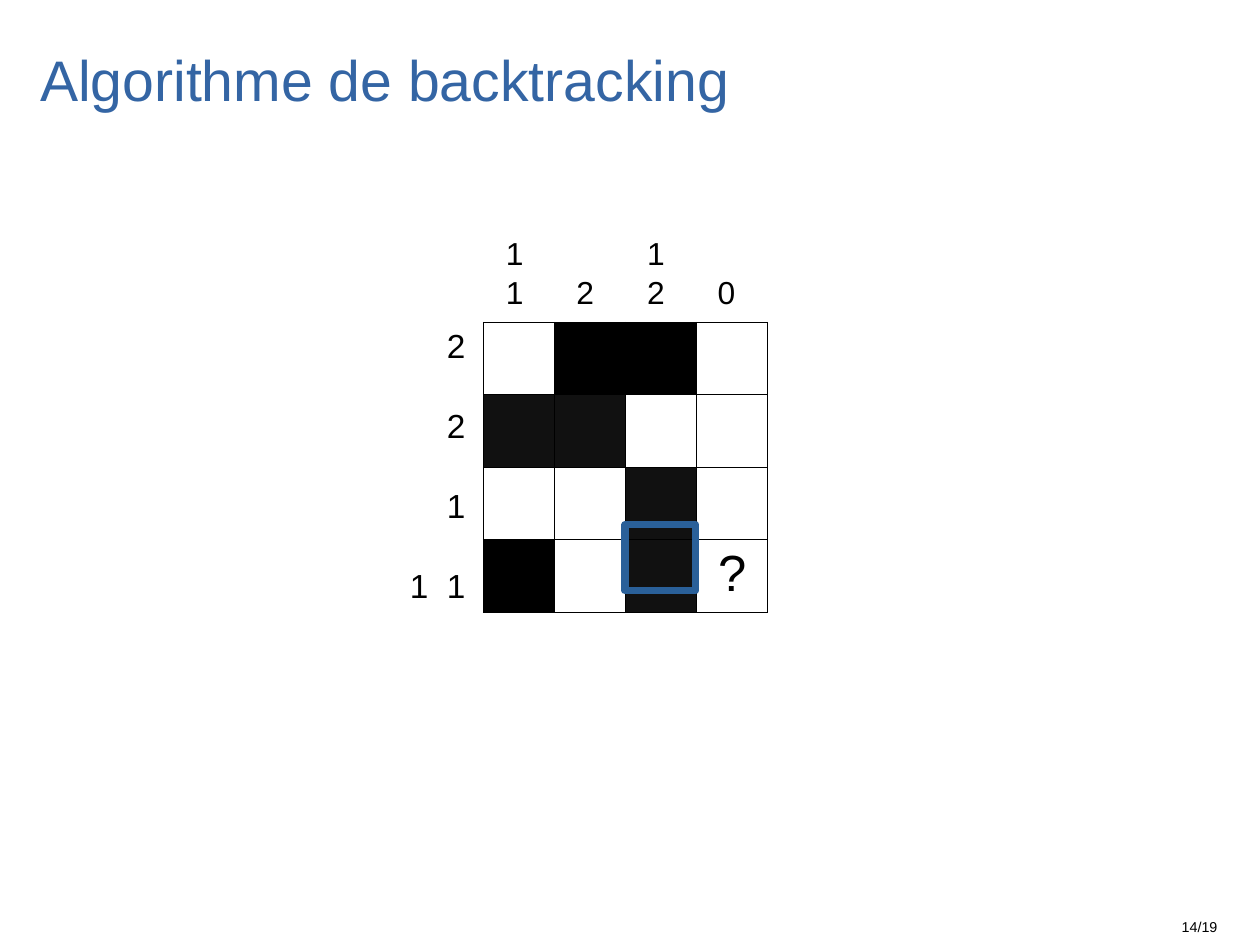
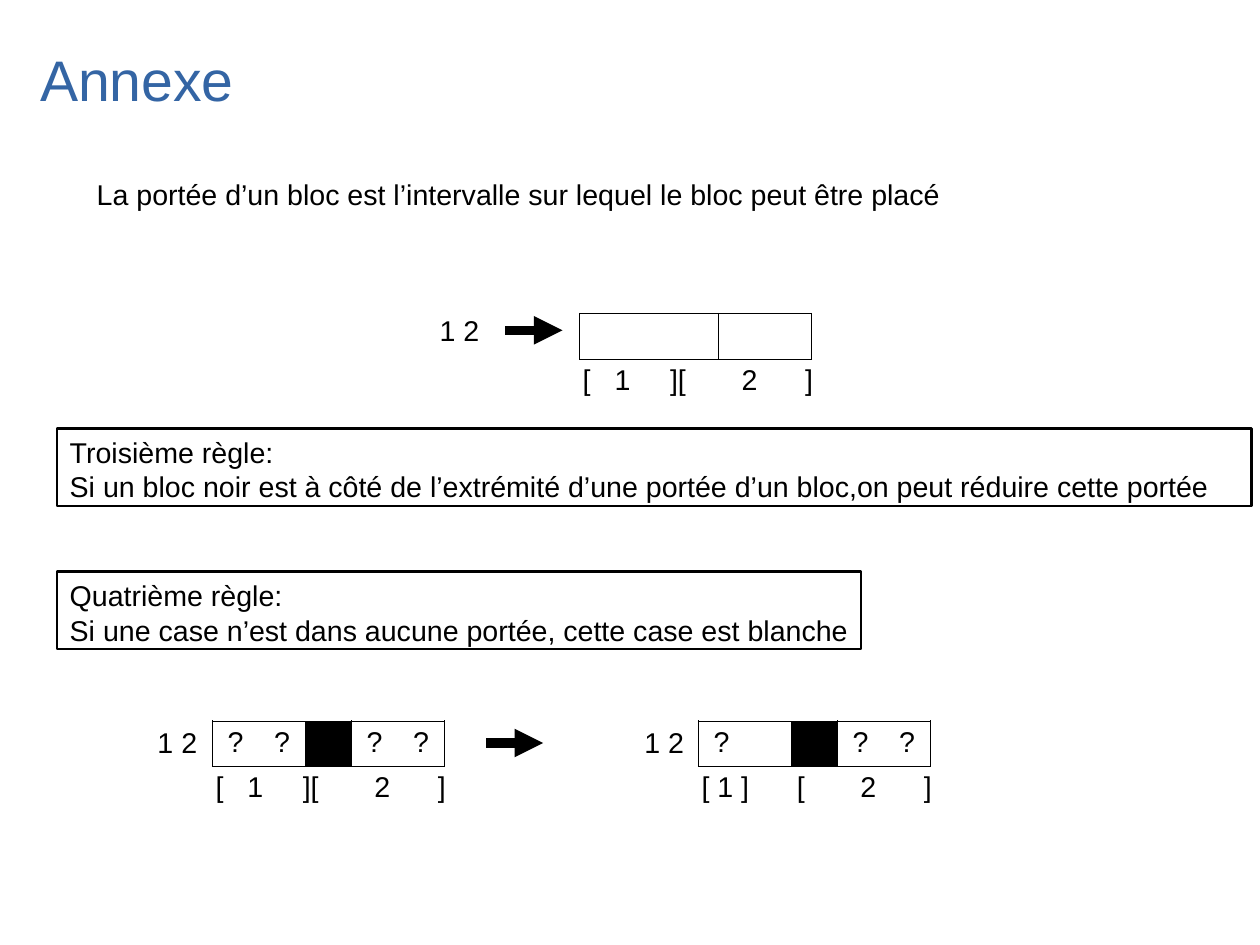
from lxml.etree import SubElement
from pptx import Presentation
from pptx.dml.color import RGBColor
from pptx.enum.shapes import MSO_CONNECTOR, MSO_SHAPE
from pptx.enum.text import MSO_ANCHOR, PP_ALIGN
from pptx.oxml.ns import qn
from pptx.util import Cm, Pt

FONT = "Arial"
BLACK = RGBColor(0x00, 0x00, 0x00)
DARK = RGBColor(0x11, 0x11, 0x11)
TITLE_BLUE = RGBColor(0x34, 0x65, 0xA4)
CURSOR_BLUE = RGBColor(0x2A, 0x60, 0x99)

# Cell marks: "#" guessed black, "+" deduced black, "." blank, "?" unknown
CELL_FILLS = {"#": BLACK, "+": DARK}
STRIP_CELL = 1.03
CLUE_PITCH = 1.57


def write(frame, lines, size, colour=BLACK, tabs=(), gap=0, align=PP_ALIGN.LEFT):
    """Fill a text frame; tabs are stops in cm, gap is points after each line."""
    frame.text = "\n".join(lines)
    for para in frame.paragraphs:
        para.alignment = align
        para.space_after = Pt(gap)
        if tabs:
            stops = SubElement(para._p.get_or_add_pPr(), qn("a:tabLst"))
            for stop in tabs:
                SubElement(stops, qn("a:tab"), pos=str(Cm(stop)), algn="l")
        for span in para.runs:
            span.font.name = FONT
            span.font.size = Pt(size)
            span.font.color.rgb = colour


def add_text(page, left, top, width, height, lines, size, **style):
    box = page.shapes.add_textbox(Cm(left), Cm(top), Cm(width), Cm(height))
    box.text_frame.word_wrap = True
    box.text_frame.margin_right = 0
    write(box.text_frame, lines, size, **style)


def add_frame(page, left, top, width, height, colour, weight):
    """Outlined rectangle with rounded line joins."""
    box = page.shapes.add_shape(
        MSO_SHAPE.RECTANGLE, Cm(left), Cm(top), Cm(width), Cm(height))
    box.shadow.inherit = False
    box.fill.background()
    box.line.color.rgb = colour
    box.line.width = Pt(weight)
    SubElement(box.line._get_or_add_ln(), qn("a:round"))
    return box


def add_rule(page, top, width, lines):
    box = add_frame(page, 1.27, top, width, 1.73, BLACK, 1.5)
    frame = box.text_frame
    frame.word_wrap = True
    frame.vertical_anchor = MSO_ANCHOR.TOP
    frame.margin_left = Cm(0.28)
    frame.margin_top = Cm(0.15)
    frame.margin_right = frame.margin_bottom = 0
    write(frame, lines, 18)


def add_arrow(page, left, y):
    arrow = page.shapes.add_connector(
        MSO_CONNECTOR.STRAIGHT, Cm(left), Cm(y), Cm(left + 1.27), Cm(y))
    arrow.line.color.rgb = BLACK
    arrow.line.width = Pt(6)
    SubElement(arrow.line._get_or_add_ln(), qn("a:tailEnd"), type="triangle")
    SubElement(arrow._element.spPr, qn("a:effectLst"))


def set_borders(cell, visible):
    """Draw the sides named in visible and clear the others."""
    properties = cell._tc.get_or_add_tcPr()
    for index, side in enumerate("LRTB"):
        line = SubElement(properties, qn(f"a:ln{side}"), w=str(Pt(0.57)))
        if side in visible:
            fill = SubElement(line, qn("a:solidFill"))
            SubElement(fill, qn("a:srgbClr"), val=str(BLACK))
        else:
            SubElement(line, qn("a:noFill"))
        properties.insert(index, line)


def add_cells(page, left, top, width, height, rows, size, edges):
    """Table of puzzle cells; edges lists the vertical lines that are drawn."""
    count = len(rows[0])
    table = page.shapes.add_table(
        len(rows), count, Cm(left), Cm(top),
        Cm(width * count), Cm(height * len(rows))).table
    table.first_row = table.horz_banding = False
    for column in table.columns:
        column.width = Cm(width)
    for row_index, marks in enumerate(rows):
        table.rows[row_index].height = Cm(height)
        for index, mark in enumerate(marks):
            cell = table.cell(row_index, index)
            cell.margin_left = cell.margin_right = Cm(0.1)
            if mark in CELL_FILLS:
                cell.fill.solid()
                cell.fill.fore_color.rgb = CELL_FILLS[mark]
            else:
                cell.fill.background()
            if mark == "?":
                write(cell.text_frame, [mark], size, align=PP_ALIGN.CENTER)
            sides = "TB"
            if index in edges:
                sides += "L"
            if index + 1 in edges:
                sides += "R"
            set_borders(cell, sides)


def add_strip(page, left, top, marks, clue_left, clue_top, ranges, stops):
    """One puzzle line with its clue on the left and block ranges below."""
    add_text(page, clue_left, clue_top, 1.6, 0.97, ["1 2"], 18)
    add_cells(page, left, top, STRIP_CELL, 0.97, [marks], 18, edges=(0, 3, 5))
    add_text(page, left - 0.18, top + 0.95, 5.8, 0.97, [ranges], 18, tabs=stops)


def add_page(deck, title):
    page = deck.slides.add_slide(deck.slide_layouts[6])
    add_text(page, 0.64, 0.86, 18, 1.68, [title], 36, colour=TITLE_BLUE)
    return page


def build_backtracking(deck):
    page = add_page(deck, "Algorithme de backtracking")
    # Grid
    add_cells(page, 10.74, 7.16, 1.58, 1.61,
              [".##.", "++..", "..+.", "#.+?"], 32, edges=range(5))
    # Column and row clues
    add_text(page, 10.99, 5.08, 6, 1.83, ["1\t\t1", "1\t2\t2\t0"], 20,
             tabs=[CLUE_PITCH * step for step in (1, 2, 3)])
    page.shapes[-1].text_frame.paragraphs[0].space_after = Pt(0)
    add_text(page, 8.86, 7.11, 1.85, 6.86, ["\t2", "\t2", "\t1", "1\t1"], 21,
             tabs=[0.82], gap=25.2)
    # Current cell
    add_frame(page, 13.89, 11.66, 1.57, 1.47, CURSOR_BLUE, 4.5)
    # Page number
    add_text(page, 26.01, 20.29, 1.6, 0.61, ["14/19"], 9)


def build_annex(deck):
    page = add_page(deck, "Annexe")
    add_text(page, 1.9, 3.81, 20, 0.97,
             ["La portée d’un bloc est l’intervalle sur lequel le bloc peut être placé"], 18)
    # Rules
    add_rule(page, 9.52, 26.54, [
        "Troisième règle:",
        "Si un bloc noir est à côté de l’extrémité d’une portée d’un bloc,"
        "on peut réduire cette portée"])
    add_rule(page, 12.7, 17.86, [
        "Quatrième règle:",
        "Si une case n’est dans aucune portée, cette case est blanche"])
    # Example lines and their ranges
    wide, wide_stops = "[\t1\t][\t2\t]", (0.71, 1.94, 3.53, 4.94)
    short, short_stops = "[ 1 ]\t[\t2\t]", (2.12, 3.53, 4.94)
    add_strip(page, 12.88, 6.96, ".....", 9.52, 6.83, wide, wide_stops)
    add_strip(page, 4.72, 16.02, "??#??", 3.25, 15.98, wide, wide_stops)
    add_strip(page, 15.52, 16.02, "?.#??", 14.07, 15.98, short, short_stops)
    add_arrow(page, 11.23, 7.34)
    add_arrow(page, 10.8, 16.51)


def main():
    deck = Presentation()
    deck.slide_width, deck.slide_height = Cm(28), Cm(21)
    build_backtracking(deck)
    build_annex(deck)
    deck.save("out.pptx")


if __name__ == "__main__":
    main()
